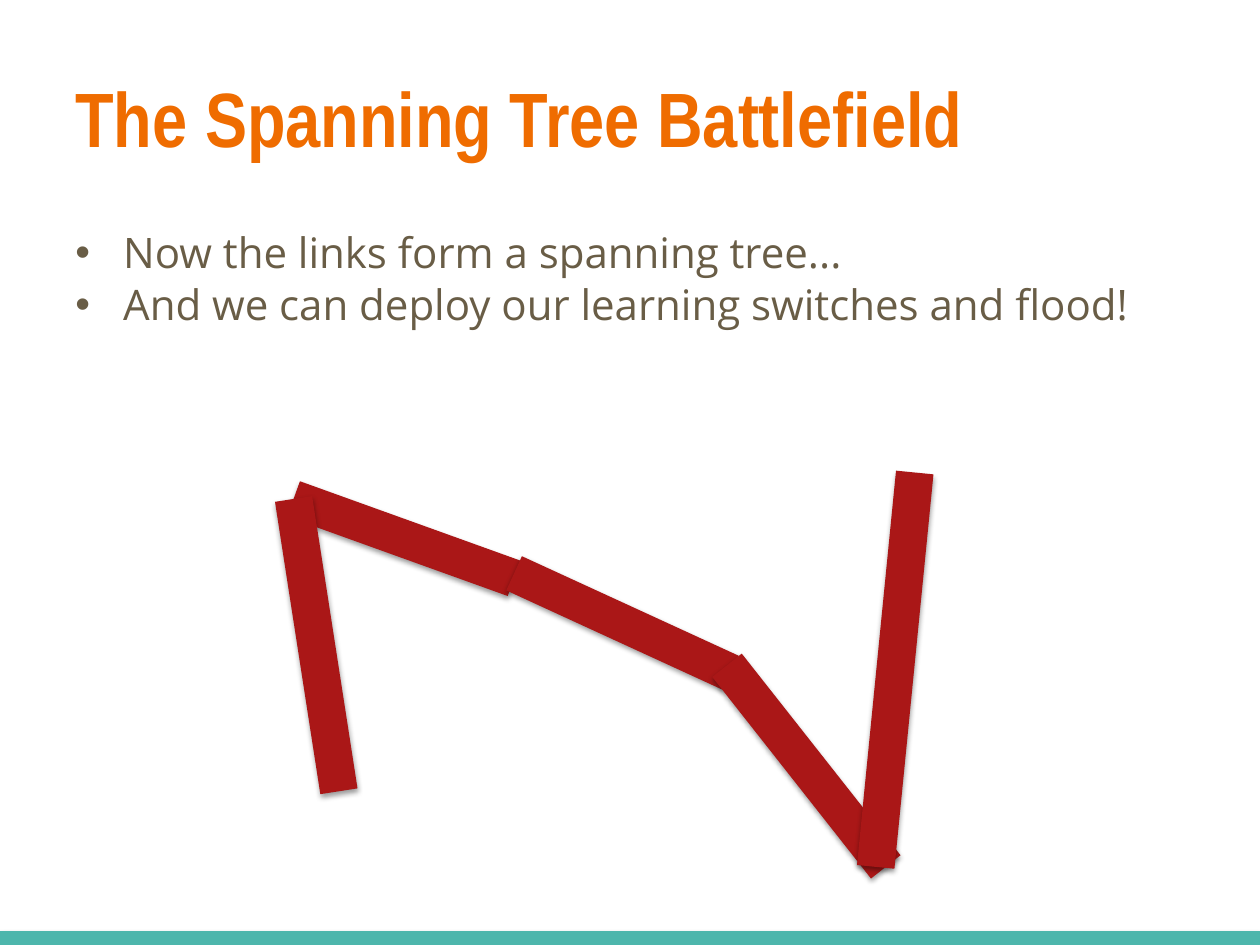
from typing import NamedTuple

from lxml import etree
from pptx import Presentation
from pptx.dml.color import RGBColor
from pptx.enum.shapes import MSO_CONNECTOR
from pptx.enum.text import MSO_ANCHOR
from pptx.oxml.ns import qn
from pptx.util import Inches, Pt

STRAIGHT = MSO_CONNECTOR.STRAIGHT
TOP, MIDDLE = MSO_ANCHOR.TOP, MSO_ANCHOR.MIDDLE

ORANGE, BROWN, RED, TEAL = "EF6C00", "695D46", "AA1717", "4DB6AC"
BLANK_LAYOUT = 6
BULLET_INDENT = Inches(0.38)


class Link(NamedTuple):
    """A straight line between two points, in inches."""
    x1: float
    y1: float
    x2: float
    y2: float


TREE_LINKS = [
    Link(2.33, 3.96, 4.08, 4.59),
    Link(5.8, 5.34, 4.08, 4.55),
    Link(5.77, 5.28, 7.03, 6.88),
    Link(7.26, 3.75, 6.95, 6.88),
    Link(2.69, 6.28, 2.33, 3.96),
]
FOOTER_RULE = Link(0, 7.46, 10, 7.46)


def color(value: str) -> RGBColor:
    return RGBColor.from_string(value)


def add_shadow(connector) -> None:
    """Give a connector a soft shadow that falls straight down."""
    effects = etree.SubElement(connector._element.spPr, qn("a:effectLst"))
    shadow = etree.SubElement(
        effects, qn("a:outerShdw"), blurRad=str(Pt(3.1)), dist=str(Pt(1.6)),
        dir="5400000", rotWithShape="0")
    black = etree.SubElement(shadow, qn("a:srgbClr"), val="000000")
    etree.SubElement(black, qn("a:alpha"), val="38000")


def add_link(slide, link: Link, line_color: str, width: float) -> None:
    connector = slide.shapes.add_connector(
        STRAIGHT, *(Inches(value) for value in link))
    connector.line.color.rgb = color(line_color)
    connector.line.width = Pt(width)
    add_shadow(connector)


def add_bullet(paragraph) -> None:
    properties = paragraph._p.get_or_add_pPr()
    properties.set("marL", str(BULLET_INDENT))
    properties.set("indent", str(-BULLET_INDENT))
    etree.SubElement(properties, qn("a:buFont"), typeface="Arial")
    etree.SubElement(properties, qn("a:buChar"), char="•")


def add_text(slide, text: str, *, left: float, top: float, width: float,
             height: float, font: str, size: float, text_color: str,
             bold: bool = False, anchor=TOP, bullets: bool = False,
             gap: float = 0) -> None:
    """Add a text box with one paragraph for each line of the text."""
    box = slide.shapes.add_textbox(
        Inches(left), Inches(top), Inches(width), Inches(height))
    frame = box.text_frame
    frame.word_wrap = True
    frame.vertical_anchor = anchor
    frame.text = text
    for index, paragraph in enumerate(frame.paragraphs):
        if index and gap:
            paragraph.space_before = Pt(gap)
        if bullets:
            add_bullet(paragraph)
        paragraph.font.name = font
        paragraph.font.size = Pt(size)
        paragraph.font.bold = bold
        paragraph.font.color.rgb = color(text_color)


def main() -> None:
    presentation = Presentation()
    presentation.slide_width = Inches(10)
    presentation.slide_height = Inches(7.5)
    slide = presentation.slides.add_slide(
        presentation.slide_layouts[BLANK_LAYOUT])

    # Footer rule and title
    add_link(slide, FOOTER_RULE, TEAL, 10)
    add_text(slide, "The Spanning Tree Battlefield",
             left=0.5, top=0.3, width=9, height=1.25, font="Arial Narrow",
             size=44, text_color=ORANGE, bold=True, anchor=MIDDLE)

    # Spanning tree
    for link in TREE_LINKS:
        add_link(slide, link, RED, 21.5)

    # Bullet points
    add_text(slide, "Now the links form a spanning tree...\n"
             "And we can deploy our learning switches and flood!",
             left=0.5, top=1.75, width=9, height=4.95, font="Open Sans",
             size=24, text_color=BROWN, bullets=True, gap=1)

    presentation.save("out.pptx")


if __name__ == "__main__":
    main()
